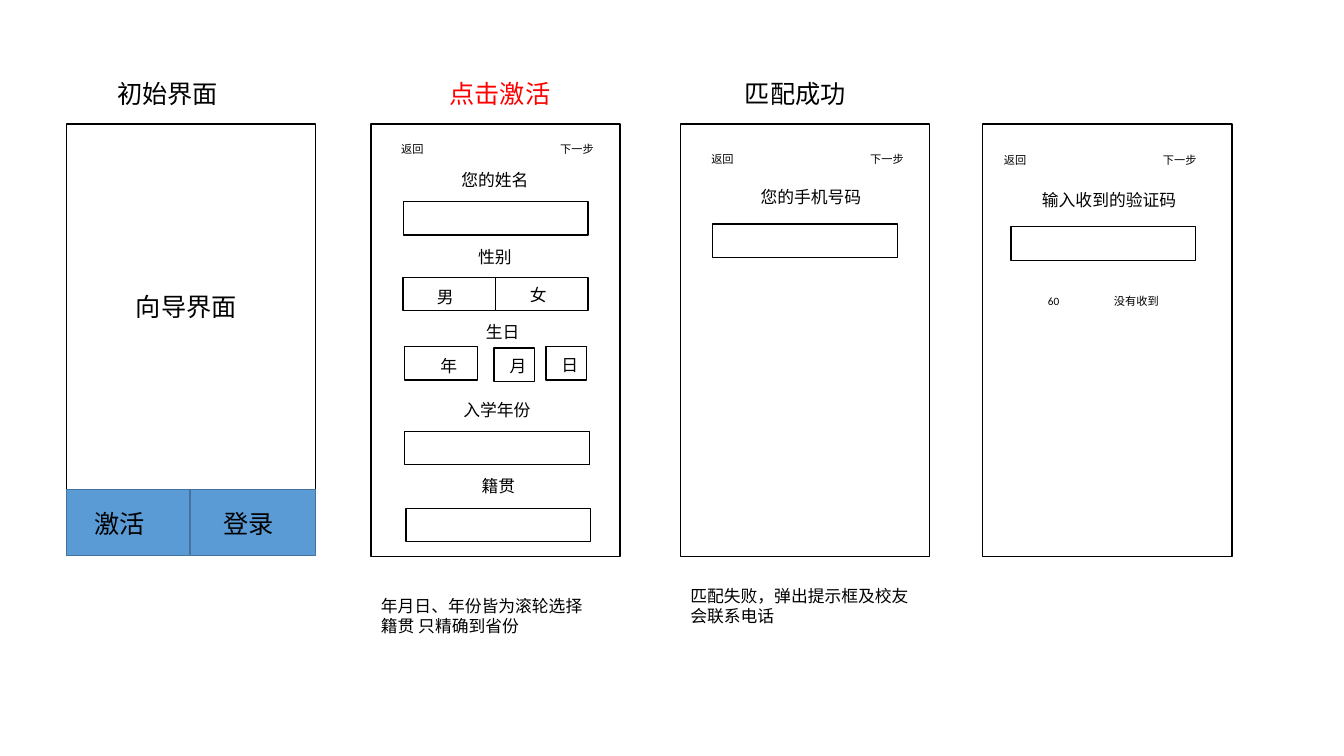
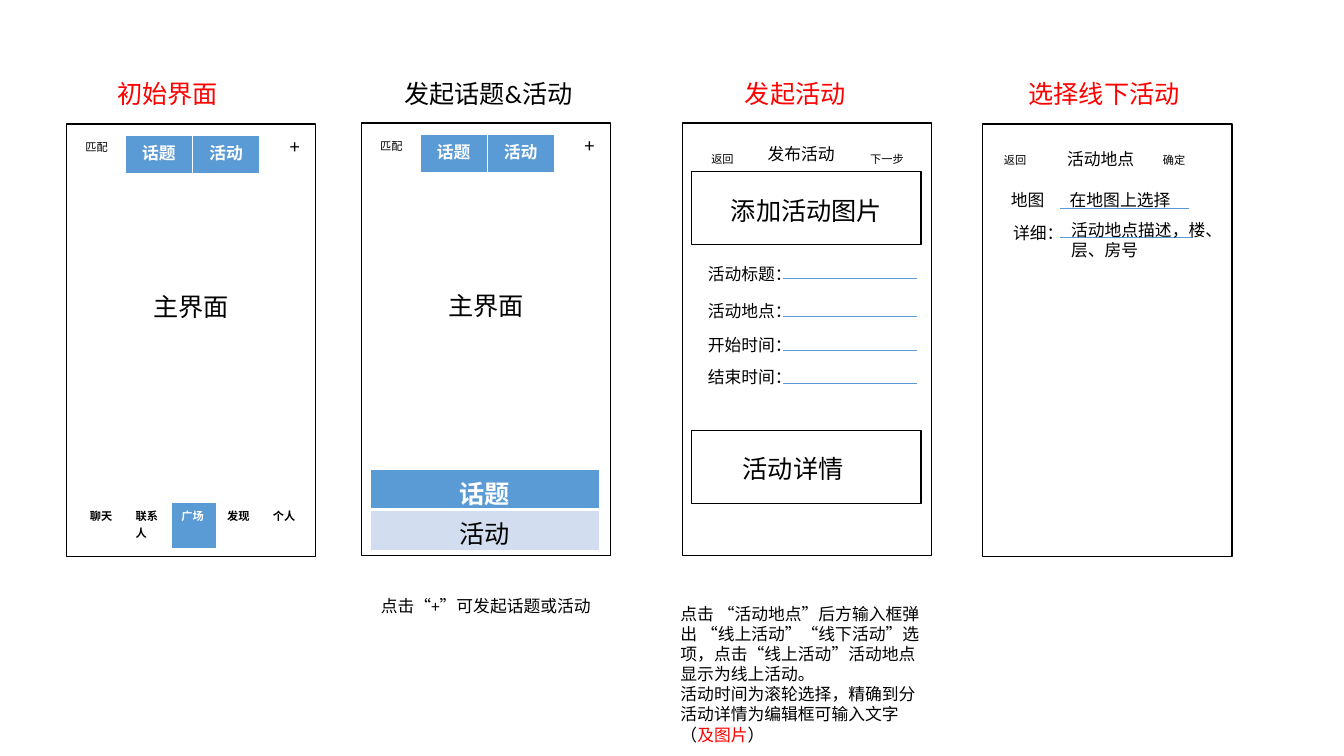
from lxml import etree
from pptx import Presentation
from pptx.dml.color import RGBColor
from pptx.enum.shapes import MSO_CONNECTOR, MSO_SHAPE
from pptx.enum.text import MSO_ANCHOR, MSO_AUTO_SIZE, PP_ALIGN
from pptx.oxml.ns import qn
from pptx.util import Pt

RECT = MSO_SHAPE.RECTANGLE
LINE = MSO_CONNECTOR.STRAIGHT
LEFT, CENTER = PP_ALIGN.LEFT, PP_ALIGN.CENTER
TOP, MIDDLE = MSO_ANCHOR.TOP, MSO_ANCHOR.MIDDLE
GROW = MSO_AUTO_SIZE.SHAPE_TO_FIT_TEXT

FONT = "Calibri"
BLACK, WHITE, RED = "000000", "FFFFFF", "FF0000"
BLUE, DARK_BLUE, PALE_BLUE = "5B9BD5", "43739E", "D2DEEF"
BIG, BODY, SMALL = 18, 12, 8
PHONE_W, PHONE_H = 178, 309
FIELD_W, FIELD_H = 132, 24
TITLE_Y = 52.5


def rgb(value):
    """Turn a hex string into a colour."""
    return RGBColor.from_string(value)


def add_run(p, text, size, color, bold=False):
    """Add one styled run to a paragraph."""
    r = p.add_run()
    r.text = text
    r.font.name = FONT
    r.font.size = Pt(size)
    r.font.bold = bold
    r.font.color.rgb = rgb(color)


def label(slide, x, y, w, paragraphs, size=BODY, color=BLACK, align=LEFT, lines=1):
    """Add a text box; a paragraph is a string or a list of (text, colour)."""
    if isinstance(paragraphs, str):
        paragraphs = [paragraphs]
    height = size * 1.2 * lines + 7.2
    tf = slide.shapes.add_textbox(Pt(x), Pt(y), Pt(w), Pt(height)).text_frame
    tf.word_wrap = True
    tf.auto_size = GROW
    for i, runs in enumerate(paragraphs):
        p = tf.add_paragraph() if i else tf.paragraphs[0]
        p.alignment = align
        for text, run_color in [(runs, color)] if isinstance(runs, str) else runs:
            add_run(p, text, size, run_color)


def box(slide, x, y, w, h, fill=WHITE, line=BLACK):
    """Add an outlined rectangle."""
    sp = slide.shapes.add_shape(RECT, Pt(x), Pt(y), Pt(w), Pt(h))
    sp.shadow.inherit = False
    sp.fill.solid()
    sp.fill.fore_color.rgb = rgb(fill)
    sp.line.color.rgb = rgb(line)
    sp.line.width = Pt(1)


def phone(slide, x, y=88.5, h=PHONE_H):
    """Add a phone screen frame."""
    box(slide, x, y, PHONE_W, h)


def field(slide, x, y, w=FIELD_W):
    """Add an empty input field."""
    box(slide, x, y, w, FIELD_H)


def rule(slide, x, y, w):
    """Add a thin horizontal input line."""
    cxn = slide.shapes.add_connector(LINE, Pt(x), Pt(y), Pt(x + w), Pt(y))
    cxn.line.color.rgb = rgb(BLUE)
    cxn.line.width = Pt(0.5)
    etree.SubElement(cxn._element.spPr, qn("a:effectLst"))


def nav_bar(slide, x, y, forward="下一步"):
    """Add the back and forward labels of a screen."""
    label(slide, x, y, 33, "返回", SMALL)
    label(slide, x + 113.5, y, 40, forward, SMALL)


def add_borders(cell, top, bottom):
    """Give a cell white borders."""
    tc_pr = cell._tc.get_or_add_tcPr()
    for side, width in (("L", 1), ("R", 1), ("T", top), ("B", bottom)):
        ln = etree.SubElement(tc_pr, qn("a:ln" + side), w=str(Pt(width)))
        fill = etree.SubElement(ln, qn("a:solidFill"))
        etree.SubElement(fill, qn("a:srgbClr"), val=WHITE)


def grid(slide, x, y, col_w, row_h, rows, size, align=CENTER, anchor=TOP):
    """Add a table of (text, fill, colour, bold) cells."""
    n_rows, n_cols = len(rows), len(rows[0])
    table = slide.shapes.add_table(n_rows, n_cols, Pt(x), Pt(y),
                                   Pt(col_w * n_cols), Pt(row_h * n_rows)).table
    table.first_row = table.horz_banding = False
    for i, row in enumerate(rows):
        for j, (text, fill, color, bold) in enumerate(row):
            cell = table.cell(i, j)
            add_borders(cell, 3 if i else 1, 1 if i else 3)
            cell.fill.solid()
            cell.fill.fore_color.rgb = rgb(fill)
            cell.vertical_anchor = anchor
            p = cell.text_frame.paragraphs[0]
            p.alignment = align
            add_run(p, text, size, color, bold)


def home_screen(slide, x, y):
    """Add the main screen with its top tabs."""
    phone(slide, x, y)
    label(slide, x + 55, y + 116, 94, "主界面", BIG)
    label(slide, x + 6.5, y + 8, 33, "匹配", SMALL)
    label(slide, x + 152.5, y + 3.5, 23, "+", 14)
    tabs = [(text, BLUE, WHITE, True) for text in ("话题", "活动")]
    grid(slide, x + 42, y + 8, 48, 28.5, [tabs], BODY)


def build_activation(slide):
    """Build the account activation flow."""
    for x, text, color in ((76.5, "初始界面", BLACK), (314, "点击激活", RED),
                           (525, "匹配成功", BLACK)):
        label(slide, x, TITLE_Y, 120, text, BIG, color)

    phone(slide, 47.5, h=261)
    label(slide, 90, 204.5, 94, "向导界面", BIG)
    for x, w, text_x, text in ((47.5, 88, 60.5, "激活"), (136, 89.5, 152.5, "登录")):
        box(slide, x, 349.5, w, 47.5, BLUE, DARK_BLUE)
        label(slide, text_x, 359.5, 63, text, BIG)

    for x in (265, 486, 702):
        phone(slide, x)
    for x, y in ((279.5, 98), (501, 105), (710, 106)):
        nav_bar(slide, x, y)

    for x, y, text in ((302.5, 117.5, "您的姓名"), (302.5, 172.5, "性别"),
                       (308, 226, "生日"), (304, 282, "入学年份"),
                       (305, 336.5, "籍贯")):
        label(slide, x, y, 102, text, align=CENTER)
    for x, y in ((288, 144), (289, 308), (290, 363), (509, 160), (722, 162)):
        field(slide, x, y)
    for x, y, w, text_x, text_y, text in (
            (288, 198, 66, 305, 201, "男"), (354, 198, 66, 371.5, 199.5, "女"),
            (289, 247.5, 52, 307.5, 250.5, "年"), (353, 248.5, 29, 357, 250.5, "月"),
            (390, 247.5, 29, 394, 250, "日")):
        field(slide, x, y, w)
        label(slide, text_x, text_y, 30, text)

    label(slide, 517, 130, 124.5, "您的手机号码", align=CENTER)
    label(slide, 730, 132, 124.5, "输入收到的验证码", align=CENTER)
    label(slide, 741.5, 206.5, 25, "60", SMALL)
    label(slide, 788.5, 206.5, 57, "没有收到", SMALL)
    label(slide, 265, 422, PHONE_W, ["年月日、年份皆为滚轮选择", "籍贯 只精确到省份"], lines=2)
    label(slide, 486, 414.5, PHONE_W, "匹配失败，弹出提示框及校友会联系电话", lines=2)


def build_activity(slide):
    """Build the topic and activity publishing flow."""
    for x, text, color in ((76.5, "初始界面", RED), (281.5, "发起话题&活动", BLACK),
                           (525, "发起活动", RED), (727.5, "选择线下活动", RED)):
        label(slide, x, TITLE_Y, 151, text, BIG, color)

    home_screen(slide, 47.5, 88.5)
    menu = [(text, WHITE, BLACK, True) for text in ("聊天", "联系人", "广场", "发现", "个人")]
    menu[2] = ("广场", BLUE, WHITE, True)
    grid(slide, 57, 359, 32.7, 33.5, [menu], SMALL, LEFT)

    home_screen(slide, 258, 88)
    options = [[("话题", BLUE, WHITE, True)], [("活动", PALE_BLUE, BLACK, False)]]
    grid(slide, 264.5, 335, 163.5, 29, options, BIG, anchor=MIDDLE)
    label(slide, 265, 422, PHONE_W, "点击“+”可发起话题或活动")

    phone(slide, 487.5, 88)
    nav_bar(slide, 501, 105)
    label(slide, 510, 99, 124.5, "发布活动", align=CENTER)
    for y, text_x, text_y, text in ((122.5, 515, 136, "添加活动图片"),
                                    (307.5, 523.5, 320.5, "活动详情")):
        box(slide, 494, y, 164, 52)
        label(slide, text_x, text_y, 124.5, text, BIG)
    for y, line_y, text in ((184.5, 199, "活动标题："), (211.5, 226, "活动地点："),
                            (235.5, 250, "开始时间："), (258.5, 273.5, "结束时间：")):
        label(slide, 498.5, y, 76, text)
        rule(slide, 559.5, line_y, 95.5)
    label(slide, 479, 427.5, 186, [
        "点击 “活动地点”后方输入框弹出 “线上活动”“线下活动”选项，点击“线上活动”活动地点显示为线上活动。",
        "活动时间为滚轮选择，精确到分",
        [("活动详情为编辑框可输入文字（", BLACK), ("及图片", RED), ("）", BLACK)],
    ], lines=7)

    phone(slide, 702)
    nav_bar(slide, 710, 106, "确定")
    label(slide, 738, 103, 96.5, "活动地点", align=CENTER)
    label(slide, 715, 132, 50, "地图")
    label(slide, 757, 132, 124.5, "在地图上选择")
    rule(slide, 757, 148.5, 92)
    label(slide, 716.5, 155.5, 60, "详细：")
    rule(slide, 757, 169.5, 95)
    label(slide, 758, 153.5, 124.5, "活动地点描述，楼、层、房号", lines=2)


def main():
    """Build and save the presentation."""
    prs = Presentation()
    prs.slide_width, prs.slide_height = Pt(960), Pt(540)
    for build in (build_activation, build_activity):
        build(prs.slides.add_slide(prs.slide_layouts[6]))
    prs.save("out.pptx")


if __name__ == "__main__":
    main()
